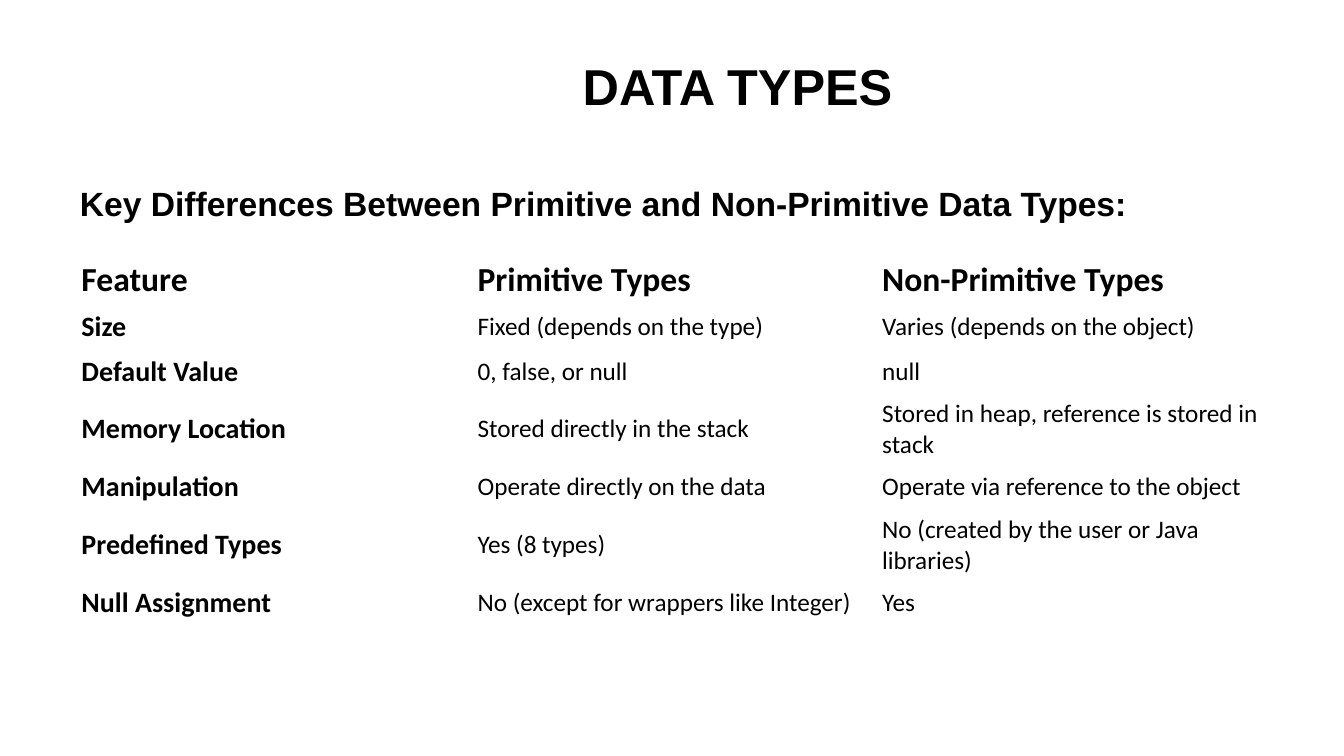
from pptx import Presentation
from pptx.dml.color import RGBColor
from pptx.enum.text import MSO_ANCHOR, MSO_AUTO_SIZE, PP_ALIGN
from pptx.util import Pt

HUES = {"ink": "000000", "page": "FFFFFF"}
HEAD = ["Feature", "Primitive Types", "Non-Primitive Types"]
ROWS = [
    ["Size", "Fixed (depends on the type)", "Varies (depends on the object)"],
    ["Default Value", "0, false, or null", "null"],
    ["Memory Location", "Stored directly in the stack",
     "Stored in heap, reference is stored in stack"],
    ["Manipulation", "Operate directly on the data",
     "Operate via reference to the object"],
    ["Predefined Types", "Yes (8 types)",
     "No (created by the user or Java libraries)"],
    ["Null Assignment", "No (except for wrappers like Integer)", "Yes"],
]
WIDTHS = [283, 289, 289]
TALLS = [36.5, 31.6, 31.6, 51, 31.6, 51, 31.6]


class Deck:
    """Holds the style and the current slide, and adds elements to it."""

    def __init__(self, wide, high):
        self.show = Presentation()
        self.show.slide_width, self.show.slide_height = Pt(wide), Pt(high)
        self.slide = self.show.slides.add_slide(self.show.slide_layouts[5])
        fill = self.slide.background.fill
        fill.solid()
        fill.fore_color.rgb = RGBColor.from_string(HUES["page"])

    def put(self, frame, text, size, face, bold=True):
        line = frame.paragraphs[0]
        line.alignment = PP_ALIGN.LEFT
        run = line.add_run()
        run.text = text
        font = run.font
        font.size, font.name, font.bold = Pt(size), face, bold
        font.color.rgb = RGBColor.from_string(HUES["ink"])

    def label(self, shape, text, size, anchor):
        frame = shape.text_frame
        frame.word_wrap = False
        frame.auto_size = MSO_AUTO_SIZE.SHAPE_TO_FIT_TEXT
        frame.vertical_anchor = anchor
        self.put(frame, text, size, "Arial")

    def title(self, text, left, top, wide, high):
        shape = self.slide.shapes.title
        shape.left, shape.top = Pt(left), Pt(top)
        shape.width, shape.height = Pt(wide), Pt(high)
        self.label(shape, text, 36, MSO_ANCHOR.TOP)

    def text(self, text, left, top, wide, high):
        box = self.slide.shapes.add_textbox(Pt(left), Pt(top), Pt(wide), Pt(high))
        self.label(box, text, 24, MSO_ANCHOR.MIDDLE)

    def table(self, rows, left, top, widths, talls):
        grid = self.slide.shapes.add_table(
            len(rows), len(widths), Pt(left), Pt(top),
            Pt(sum(widths)), Pt(sum(talls))).table
        grid.first_row = False
        grid.horz_banding = False
        for col, wide in zip(grid.columns, widths):
            col.width = Pt(wide)
        for r, (row, tall) in enumerate(zip(rows, talls)):
            grid.rows[r].height = Pt(tall)
            for c, text in enumerate(row):
                cell = grid.cell(r, c)
                cell.fill.background()
                cell.vertical_anchor = MSO_ANCHOR.MIDDLE
                size = 24 if r == 0 else 20 if c == 0 else 18
                self.put(cell.text_frame, text, size, "Calibri", size > 18)


def main():
    deck = Deck(960, 540)
    deck.title("DATA TYPES", 409, 36, 238, 51)
    deck.table([HEAD] + ROWS, 51, 181.5, WIDTHS, TALLS)
    deck.text("Key Differences Between Primitive and Non-Primitive Data Types:",
              50, 127, 770, 36)
    deck.show.save("out.pptx")


if __name__ == "__main__":
    main()
